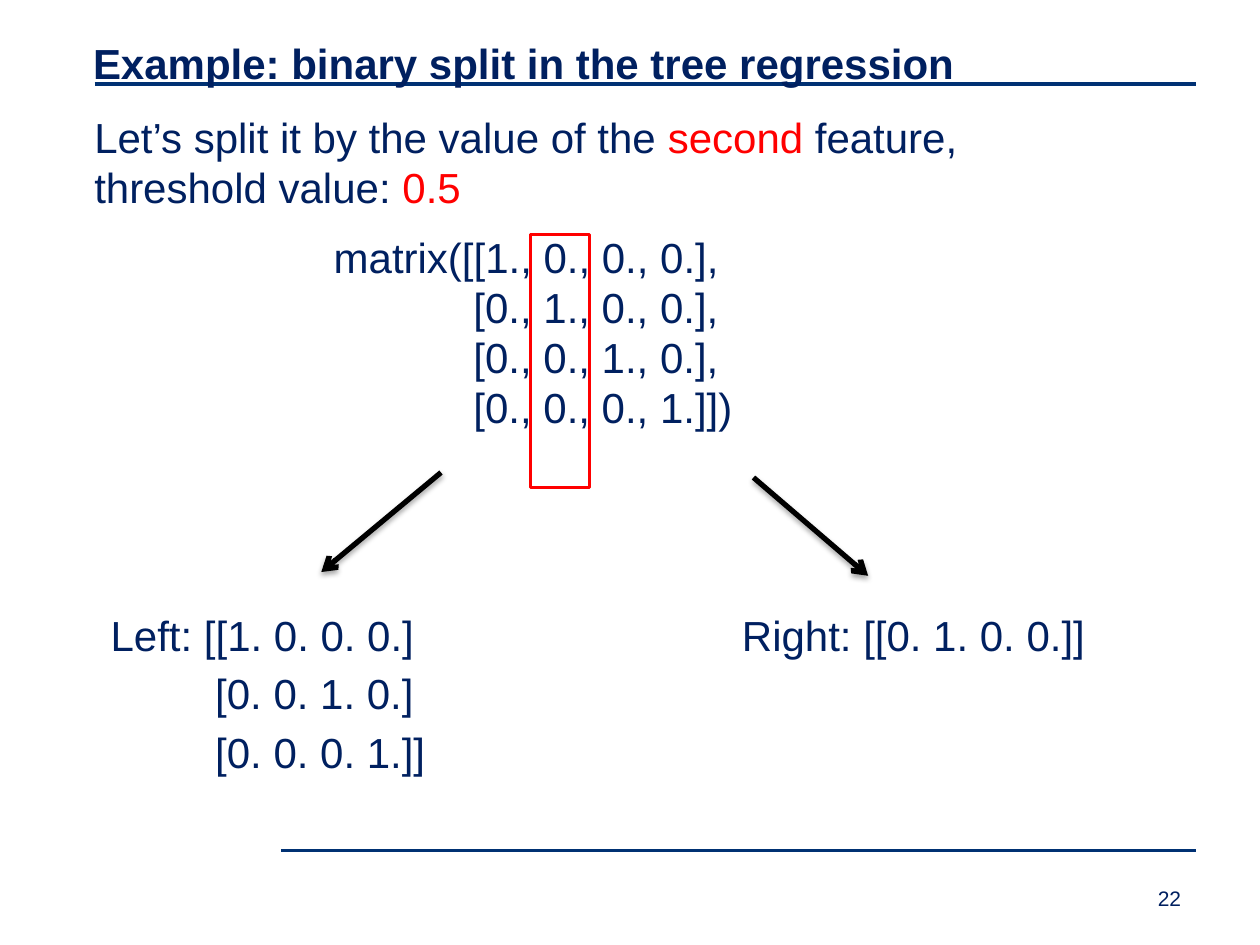
import pptx
import pptx.util
import pptx.dml.color
import pptx.oxml
import pptx.oxml.ns
import pptx.enum.shapes

Inches = pptx.util.Inches
Pt = pptx.util.Pt
NAVY, RULE, RED, BLACK = "002060", "003173", "FF0000", "000000"


def color(value):
    return pptx.dml.color.RGBColor.from_string(value)


def add_text(box, paragraphs, size=24, bold=False, gap=0, indent=0, pitch=None):
    tb = s.shapes.add_textbox(*[Inches(v) for v in box])
    tf = tb.text_frame
    tf.word_wrap = True
    for i, runs in enumerate(paragraphs):
        p = tf.add_paragraph() if i else tf.paragraphs[0]
        p.line_spacing = pitch
        if i:
            p.space_before = Pt(gap)
            p._p.get_or_add_pPr().set("marL", str(Inches(indent)))
        for text, fill in runs:
            r = p.add_run()
            r.text = text
            r.font.name = "Arial"
            r.font.size = Pt(size)
            r.font.bold = bold
            r.font.color.rgb = color(fill)


prs = pptx.Presentation()
prs.slide_width, prs.slide_height = Inches(10), Inches(7.5)
s = prs.slides.add_slide(prs.slide_layouts[6])

lines = [
    (0.75, 0.67, 9.49, 0.67, RULE, 2.25, False),
    (2.23, 6.75, 9.49, 6.75, RULE, 2.25, False),
    (3.5, 3.75, 2.55, 4.54, BLACK, 3, True),
    (5.98, 3.79, 6.89, 4.57, BLACK, 3, True),
]
for x1, y1, x2, y2, fill, width, arrow in lines:
    c = s.shapes.add_connector(
        pptx.enum.shapes.MSO_CONNECTOR.STRAIGHT,
        Inches(x1), Inches(y1), Inches(x2), Inches(y2))
    c.line.color.rgb = color(fill)
    c.line.width = Pt(width)
    sp_pr = c._element.spPr
    ns = pptx.oxml.ns.nsdecls("a")
    shadow = ""
    if arrow:
        c.line._get_or_add_ln().append(
            pptx.oxml.parse_xml(f'<a:tailEnd {ns} type="arrow"/>'))
        shadow = (
            '<a:outerShdw blurRad="40000" dist="23000" dir="5400000" rotWithShape="0">'
            f'<a:srgbClr val="{BLACK}"><a:alpha val="35000"/></a:srgbClr></a:outerShdw>')
    sp_pr.append(pptx.oxml.parse_xml(f"<a:effectLst {ns}>{shadow}</a:effectLst>"))

add_text((0.64, 0.25, 9, 0.5),
         [[("Example: binary split in the tree regression", NAVY)]], bold=True)
add_text((0.65, 0.84, 8.43, 0.94), [[
    ("Let’s split it by the value of the ", NAVY), ("second", RED),
    (" feature, threshold value: ", NAVY), ("0.5", RED)]], pitch=Pt(28.6))

matrix = ["matrix([[1., 0., 0., 0.],", "[0., 1., 0., 0.],",
          "[0., 0., 1., 0.],", "[0., 0., 0., 1.]])"]
add_text((2.55, 1.79, 4.06, 2.46), [[(row, NAVY)] for row in matrix],
         indent=1.11, pitch=Pt(28.6))

left = ["Left: [[1. 0. 0. 0.]", "[0. 0. 1. 0.]", "[0. 0. 0. 1.]]"]
add_text((0.78, 4.79, 4.49, 1.73), [[(row, NAVY)] for row in left],
         gap=4.8, indent=0.83, pitch=Pt(28.6))
add_text((5.79, 4.79, 3.78, 0.94), [[("Right: [[0. 1. 0. 0.]]", NAVY)]],
         pitch=Pt(28.6))
add_text((9.09, 6.98, 0.71, 0.3), [[("22", NAVY)]], size=12)

sp = s.shapes.add_shape(
    pptx.enum.shapes.MSO_SHAPE.RECTANGLE,
    Inches(4.21), Inches(1.86), Inches(0.47), Inches(2.01))
sp.shadow.inherit = False
sp.fill.background()
sp.line.color.rgb = color(RED)
sp.line.width = Pt(2)

prs.save("out.pptx")
